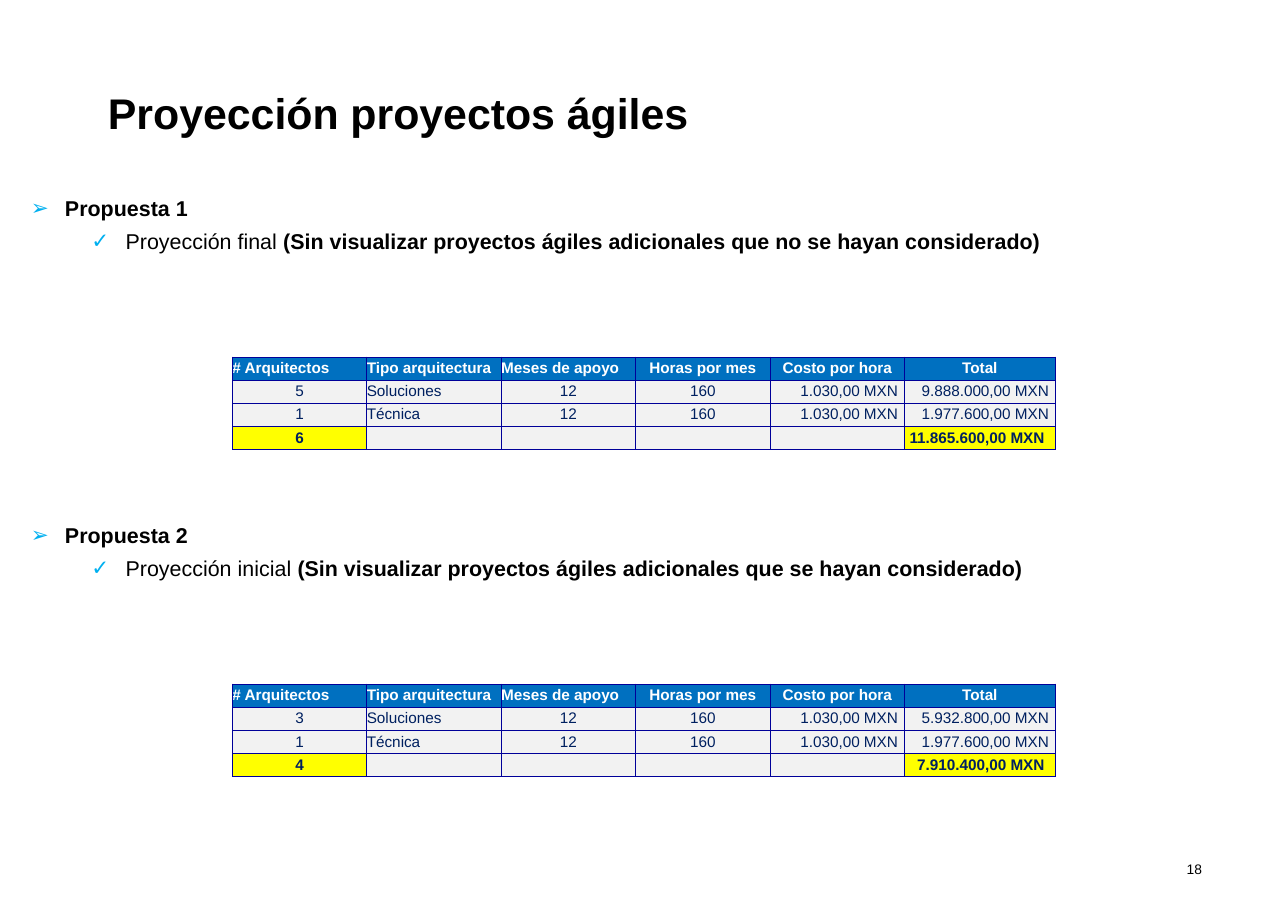
import pptx
import pptx.util
import pptx.dml.color
import pptx.enum.text
import pptx.oxml
import pptx.oxml.ns
import lxml.etree

Inches = pptx.util.Inches
Pt = pptx.util.Pt
ALIGN = pptx.enum.text.PP_ALIGN
ANCHOR = pptx.enum.text.MSO_ANCHOR
qn = pptx.oxml.ns.qn

BLACK, WHITE, NAVY = "000000", "FFFFFF", "002060"
BLUE, GREY, YELLOW = "0070C0", "F2F2F2", "FFFF00"
SKY, EDGE = "00B0F0", "000099"

HEADS = ["# Arquitectos", "Tipo arquitectura", "Meses de apoyo",
         "Horas por mes", "Costo por hora", "Total"]
WIDTHS = [1.22] * 5 + [1.37]
ROW = 0.21
HEAD_ALIGN = [ALIGN.LEFT] * 3 + [ALIGN.CENTER] * 3
BODY_ALIGN = [ALIGN.CENTER, ALIGN.LEFT, ALIGN.CENTER,
              ALIGN.CENTER, ALIGN.RIGHT, ALIGN.RIGHT]
PLANS = [
    ("Propuesta 1", "Proyección final ",
     "(Sin visualizar proyectos ágiles adicionales que no se hayan considerado)",
     [["5", "Soluciones", "12", "160", "1.030,00 MXN", "9.888.000,00 MXN"],
      ["1", "Técnica", "12", "160", "1.030,00 MXN", "1.977.600,00 MXN"],
      ["6", "", "", "", "", "11.865.600,00 MXN"]]),
    ("Propuesta 2", "Proyección inicial ",
     "(Sin visualizar proyectos ágiles adicionales que se hayan considerado)",
     [["3", "Soluciones", "12", "160", "1.030,00 MXN", "5.932.800,00 MXN"],
      ["1", "Técnica", "12", "160", "1.030,00 MXN", "1.977.600,00 MXN"],
      ["4", "", "", "", "", "7.910.400,00 MXN"]]),
]


def color(code):
    return pptx.dml.color.RGBColor.from_string(code)


def add_run(para, text, size, code, bold=False):
    run = para.add_run()
    run.text = text
    font = run.font
    font.name, font.size, font.bold = "Arial", Pt(size), bold
    font.color.rgb = color(code)


def set_box(shape, box, inset, anchor):
    """Place a text shape in its box and fix its frame."""
    shape.left, shape.top, shape.width, shape.height = map(Inches, box)
    frame = shape.text_frame
    frame.word_wrap = True
    frame.auto_size = pptx.enum.text.MSO_AUTO_SIZE.NONE
    frame.vertical_anchor = anchor
    frame.margin_left = frame.margin_right = Inches(inset)
    frame.margin_top = frame.margin_bottom = Inches(min(inset, 0.05))
    return frame


def set_bullet(para, mark, left, gap):
    para.alignment = ALIGN.JUSTIFY
    para.space_before = Pt(gap)
    props = para._p.get_or_add_pPr()
    props.set("marL", str(Inches(left)))
    props.set("indent", str(Inches(-0.31)))
    tint = lxml.etree.SubElement(props, qn("a:buClr"))
    lxml.etree.SubElement(tint, qn("a:srgbClr"), val=SKY)
    lxml.etree.SubElement(props, qn("a:buChar"), char=mark)


def set_edges(cell):
    props = cell._tc.get_or_add_tcPr()
    for spot, side in enumerate(("L", "R", "T", "B")):
        line = pptx.oxml.parse_xml(
            f'<a:ln{side} {pptx.oxml.ns.nsdecls("a")} w="{Pt(0.5)}">'
            f'<a:solidFill><a:srgbClr val="{EDGE}"/></a:solidFill></a:ln{side}>')
        props.insert(spot, line)


def fill_cell(cell, text, align, fill, code, bold, pad):
    cell.margin_left = cell.margin_top = cell.margin_bottom = 0
    cell.margin_right = Inches(pad)
    cell.vertical_anchor = ANCHOR.MIDDLE
    cell.fill.solid()
    cell.fill.fore_color.rgb = color(fill)
    set_edges(cell)
    para = cell.text_frame.paragraphs[0]
    para.alignment = align
    if text:
        add_run(para, text, 10, code, bold)
    else:
        lxml.etree.SubElement(para._p, qn("a:endParaRPr"), sz="1000")


def add_costs(slide, left, top, rows):
    grid = [HEADS] + rows
    frame = slide.shapes.add_table(
        len(grid), len(HEADS), Inches(left), Inches(top),
        Inches(sum(WIDTHS)), Inches(ROW * len(grid)))
    table = frame.table
    for col, width in zip(table.columns, WIDTHS):
        col.width = Inches(width)
    for r, row in enumerate(grid):
        table.rows[r].height = Inches(ROW)
        head, last = r == 0, r == len(grid) - 1
        for c, text in enumerate(row):
            align = (HEAD_ALIGN if head else BODY_ALIGN)[c]
            fill = BLUE if head else YELLOW if last and text else GREY
            pad = 0 if align != ALIGN.RIGHT else 0.1 if last else 0.06
            fill_cell(table.cell(r, c), text, align, fill,
                      WHITE if head else NAVY, head or last, pad)


def add_plan(slide, body, box, plan):
    """Fill one proposal: its two bullets and the cost table below."""
    name, stage, note, rows = plan
    left, top, width, height = box
    frame = set_box(body, (left, top, width, 0.7), 0.05, ANCHOR.TOP)
    para = frame.paragraphs[0]
    set_bullet(para, "➢", 0.31, 0)
    add_run(para, name, 14, BLACK, True)
    para = frame.add_paragraph()
    para.level = 1
    set_bullet(para, "✓", 0.86, 4.8)
    add_run(para, stage, 14, BLACK)
    add_run(para, note, 14, BLACK, True)
    add_costs(slide, left + 1.88, top + height - ROW * 4, rows)


def add_title(slide, box):
    frame = set_box(slide.shapes.title, box, 0, ANCHOR.TOP)
    para = frame.paragraphs[0]
    para.alignment = ALIGN.LEFT
    add_run(para, "Proyección proyectos ágiles", 28, BLACK, True)


def add_page(slide, box):
    shape = slide.shapes.add_textbox(0, 0, 0, 0)
    para = set_box(shape, box, 0.11, ANCHOR.MIDDLE).paragraphs[0]
    para.alignment = ALIGN.RIGHT
    add_run(para, "18", 9, BLACK)


def main():
    prs = pptx.Presentation()
    prs.slide_width, prs.slide_height = Inches(11.69), Inches(8.27)
    slide = prs.slides.add_slide(prs.slide_layouts[3])
    add_title(slide, (0.98, 0.79, 8.89, 0.47))
    for i, plan in enumerate(PLANS):
        box = (0.23, 1.72 + 2.97 * i, 11.23, 2.36)
        add_plan(slide, slide.placeholders[i + 1], box, plan)
    add_page(slide, (8.29, 7.67, 2.73, 0.44))
    prs.save("out.pptx")


if __name__ == "__main__":
    main()
